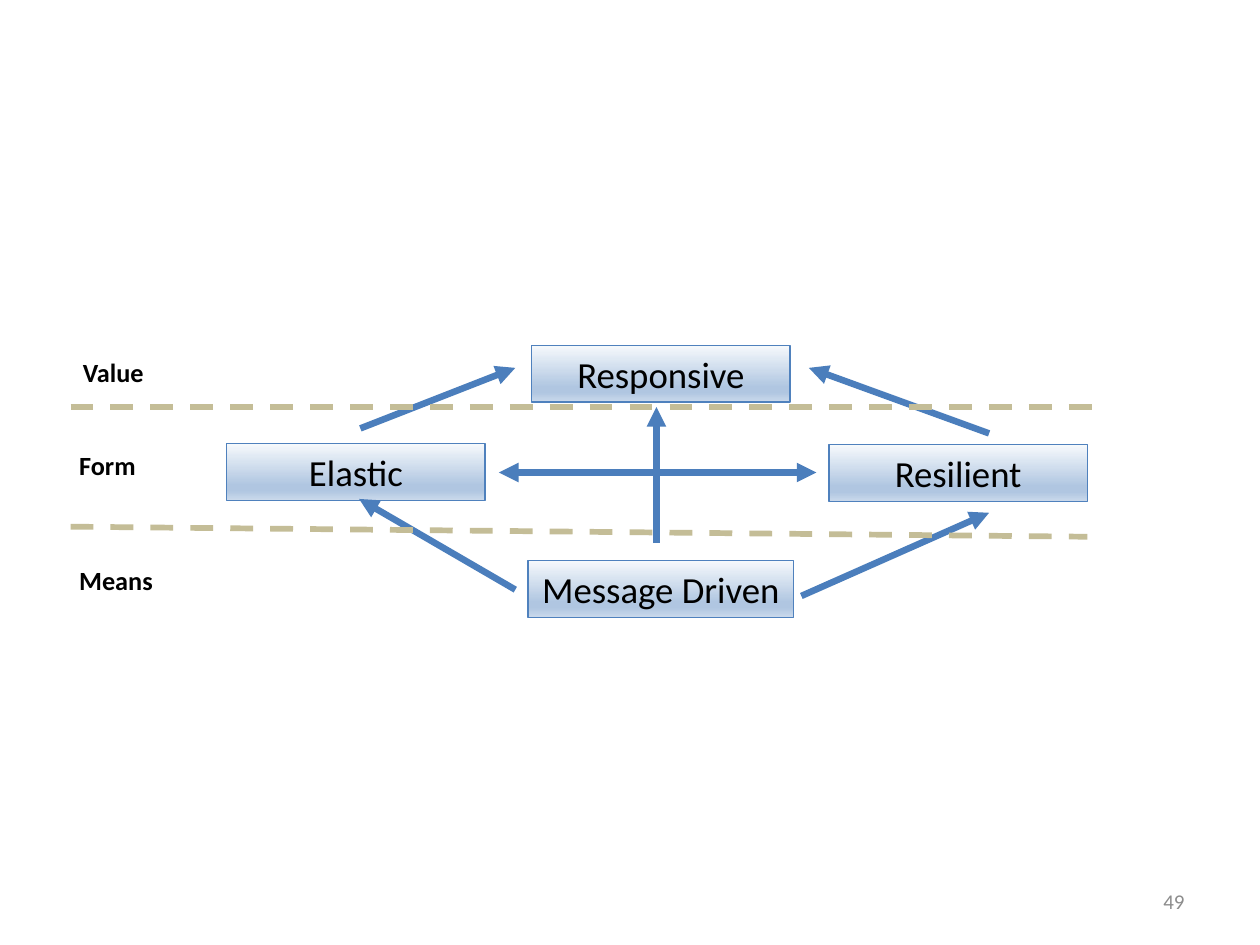
from lxml import etree
from pptx import Presentation
from pptx.dml.color import RGBColor
from pptx.enum.dml import MSO_LINE
from pptx.enum.shapes import MSO_CONNECTOR, MSO_SHAPE
from pptx.enum.text import MSO_ANCHOR, MSO_AUTO_SIZE, PP_ALIGN
from pptx.oxml.ns import qn
from pptx.util import Inches, Pt

RECTANGLE = MSO_SHAPE.RECTANGLE
STRAIGHT = MSO_CONNECTOR.STRAIGHT
DASH = MSO_LINE.DASH
LEFT, CENTER, RIGHT = PP_ALIGN.LEFT, PP_ALIGN.CENTER, PP_ALIGN.RIGHT
TOP, MIDDLE = MSO_ANCHOR.TOP, MSO_ANCHOR.MIDDLE
FIT_SHAPE, NO_FIT = MSO_AUTO_SIZE.SHAPE_TO_FIT_TEXT, MSO_AUTO_SIZE.NONE

COLUMNS, ROWS = 100, 75
CELL = Inches(0.1)
GRADIENT = [(0, "F6F9FC"), (74, "B0C6E1"), (83, "B0C6E1"), (100, "CAD9EB")]
TRAIT_FONT = {"name": "Calibri", "size": Pt(21)}
LEVEL_FONT = {"name": "Calibri", "size": Pt(15), "bold": True}
NUMBER_FONT = {"name": "Calibri", "size": Pt(12)}

TRAITS = [
    ("Message Driven", 41.9, 44.5, 21.1, False),
    ("Responsive", 42.2, 27.4, 20.5, True),
    ("Resilient", 65.8, 35.3, 20.5, True),
    ("Elastic", 18, 35.2, 20.5, True),
]
ARROWS = [
    ((52.1, 43.1), (52.1, 32.3), ["tailEnd"]),
    ((39.6, 37.5), (64.8, 37.5), ["headEnd", "tailEnd"]),
    ((28.6, 34), (40.9, 29.2), ["tailEnd"]),
    ((78.5, 34.4), (64.2, 29.2), ["tailEnd"]),
    ((40.9, 46.8), (28.5, 39.6), ["tailEnd"]),
    ((63.6, 47.3), (78.5, 40.7), ["tailEnd"]),
]
DIVIDERS = [((5.6, 41.8), (86.3, 42.6)), ((5.6, 32.3), (87.3, 32.3))]
LEVELS = [("Value", 5.6, 27.8), ("Form", 5.3, 35.2), ("Means", 5.3, 44.3)]


def color(value):
    return RGBColor.from_string(value)


def grid(*cells):
    return [round(cell * CELL) for cell in cells]


def apply(target, values):
    for name, value in values.items():
        setattr(target, name, value)


def write(box, text, font, ink="000000", align=LEFT, anchor=TOP, wrap=True, fit=FIT_SHAPE):
    frame = box.text_frame
    apply(frame, {"auto_size": fit, "word_wrap": wrap, "vertical_anchor": anchor})
    para = frame.paragraphs[0]
    para.alignment = align
    span = para.add_run()
    span.text = text
    apply(span.font, font)
    span.font.color.rgb = color(ink)


def paint_gradient(fill):
    fill.gradient()
    fill.gradient_angle = 270
    stops = fill.gradient_stops
    stop_list = stops[0]._gs.getparent()
    stop_list.clear()
    for share, value in GRADIENT:
        stop = etree.SubElement(stop_list, qn("a:gs"), pos=str(share * 1000))
        etree.SubElement(stop, qn("a:srgbClr"), val=value)


def add_trait(page, text, left, top, width, wrap):
    box = page.shapes.add_shape(RECTANGLE, *grid(left, top, width, 4.5))
    box.shadow.inherit = False
    paint_gradient(box.fill)
    box.line.color.rgb = color("4F81BD")
    box.line.width = Pt(0.75)
    write(box, text, TRAIT_FONT, align=CENTER, wrap=wrap)


def add_line(page, start, end, ink, width, heads=(), dash=None):
    connector = page.shapes.add_connector(STRAIGHT, *grid(*start, *end))
    line = connector.line
    line.color.rgb = color(ink)
    apply(line, {"width": Pt(width), "dash_style": dash})
    properties = connector._element.spPr
    etree.SubElement(properties, qn("a:effectLst"))
    for head in heads:
        etree.SubElement(properties.find(qn("a:ln")), qn(f"a:{head}"), type="triangle")


def add_label(page, cells, text, font, **layout):
    box = page.shapes.add_textbox(*grid(*cells))
    write(box, text, font, **layout)


def main():
    deck = Presentation()
    deck.slide_width, deck.slide_height = grid(COLUMNS, ROWS)
    page = deck.slides.add_slide(deck.slide_layouts[6])
    for trait in TRAITS:
        add_trait(page, *trait)
    for start, end, heads in ARROWS:
        add_line(page, start, end, "4B7EBC", 3.75, heads)
    for start, end in DIVIDERS:
        add_line(page, start, end, "C4BD97", 3.25, dash=DASH)
    for text, left, top in LEVELS:
        add_label(page, (left, top, 10.7, 3.5), text, LEVEL_FONT)
    add_label(page, (71.7, 69.5, 23.3, 4), "49", NUMBER_FONT,
              ink="8C8C8C", align=RIGHT, anchor=MIDDLE, fit=NO_FIT)
    deck.save("out.pptx")


if __name__ == "__main__":
    main()
